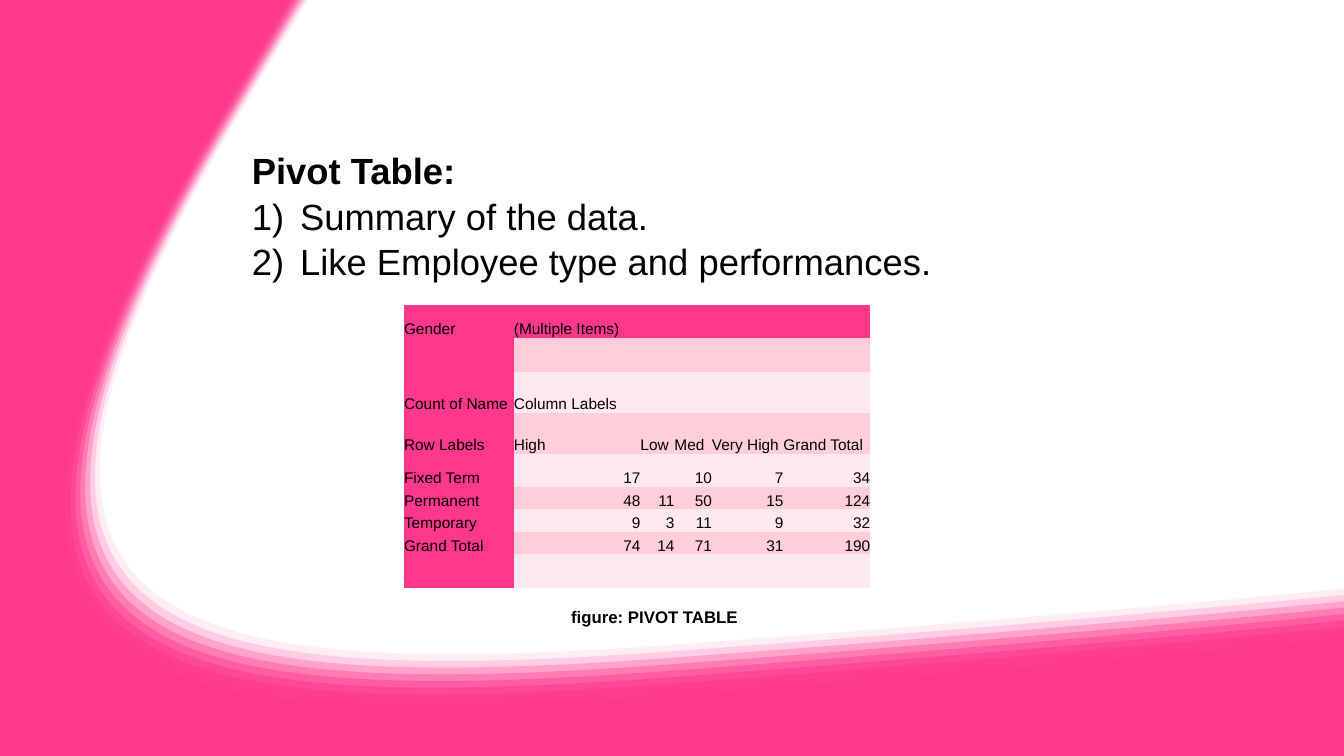
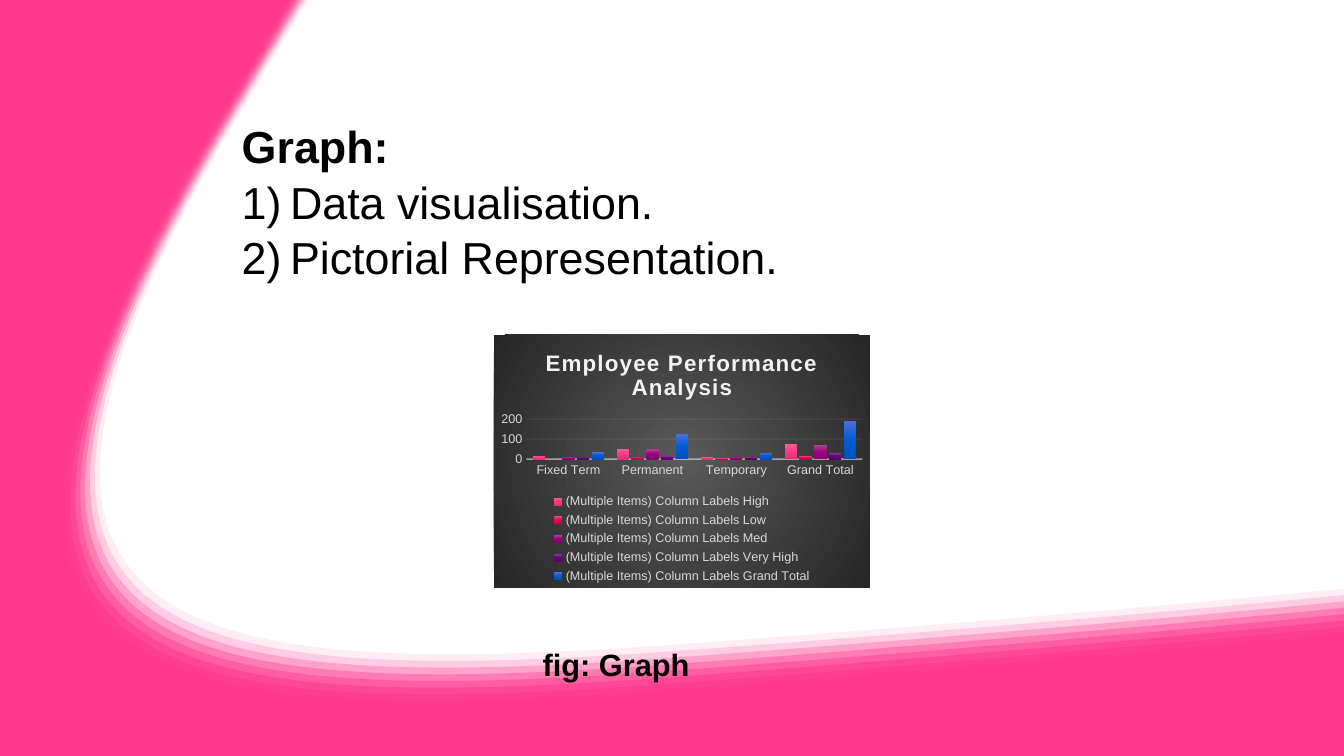
from dataclasses import dataclass
from typing import Any

from lxml.etree import SubElement
from pptx import Presentation
from pptx.chart.chart import Chart
from pptx.chart.data import CategoryChartData
from pptx.dml.color import RGBColor
from pptx.enum.chart import XL_CHART_TYPE, XL_LEGEND_POSITION, XL_TICK_MARK
from pptx.enum.text import MSO_ANCHOR, MSO_AUTO_SIZE, PP_ALIGN
from pptx.oxml import parse_xml
from pptx.oxml.ns import nsdecls, qn
from pptx.slide import Slide, SlideLayout
from pptx.util import Pt

PINK = RGBColor(0xFF, 0x38, 0x8C)
ROSE = RGBColor(0xFF, 0xCE, 0xDA)
BLUSH = RGBColor(0xFF, 0xE8, 0xEE)
BLACK = RGBColor(0x00, 0x00, 0x00)
PALE_GREY = RGBColor(0xF2, 0xF2, 0xF2)
LIGHT_GREY = RGBColor(0xD9, 0xD9, 0xD9)
CHART_CENTRE = RGBColor(0x59, 0x59, 0x59)
CHART_EDGE = RGBColor(0x26, 0x26, 0x26)

FONT = "Arial"
SLIDE_WIDTH, SLIDE_HEIGHT = 960, 540
BAND_COUNT = 11
NUMBER_INDENT = 34.5
PLAIN_TABLE_STYLE = "{2D5ABB26-0587-4C30-8999-92F81FD0307C}"

Point = tuple[float, float]

SLIDE_CORNERS: list[Point] = [
    (SLIDE_WIDTH, 0), (SLIDE_WIDTH, SLIDE_HEIGHT), (0, SLIDE_HEIGHT), (0, 0),
]
OUTER_EDGE: list[Point] = [
    (220.3, 0), (219.6, 0.7), (202.3, 28.8), (172.8, 78.5), (-52.6, 455),
    (115.9, 488.2), (496.8, 459.4), (781.2, 438.5), (958.3, 420.5), (960, 420.5),
]
INNER_EDGE: list[Point] = [
    (199.4, 0), (195.1, 7.9), (178.6, 37.4), (151.9, 82.1), (-102.2, 506.2),
    (87.8, 536.4), (478.1, 506.9), (754.6, 486), (935.3, 468.7), (960, 465.8),
]
FRAME_EDGE: list[Point] = [
    (190.8, 0), (190.8, 0), (172.8, 29.5), (141.1, 82.8), (-116.6, 512.6),
    (76.3, 543.6), (471.6, 514.1), (774, 491), (960, 472.3), (960, 472.3),
]

COLUMN_WIDTHS = [78.5, 90.4, 24.3, 26.8, 51.1, 62]
ROW_HEIGHTS = [23.9, 23.9, 29.3, 29.3, 23.9, 16.1, 16.1, 16.1, 23.9]
PIVOT_ROWS = [
    ["Gender", "(Multiple Items)"],
    [],
    ["Count of Name", "Column Labels"],
    ["Row Labels", "High", "Low", "Med", "Very High", "Grand Total"],
    ["Fixed Term", 17, None, 10, 7, 34],
    ["Permanent", 48, 11, 50, 15, 124],
    ["Temporary", 9, 3, 11, 9, 32],
    ["Grand Total", 74, 14, 71, 31, 190],
    [],
]


@dataclass(frozen=True)
class Box:
    left: float
    top: float
    width: float
    height: float

    def lengths(self) -> list[Pt]:
        return [Pt(value) for value in (self.left, self.top, self.width, self.height)]


@dataclass(frozen=True)
class Topic:
    caption: str
    caption_box: Box
    caption_size: float
    heading: str
    points: list[str]
    text_box: Box
    text_size: float


@dataclass(frozen=True)
class Series:
    name: str
    column: int
    colors: tuple[str, str, str]


PIVOT_TOPIC = Topic(
    "figure: PIVOT TABLE", Box(366.5, 415.4, 167.8, 49.7), 12,
    "Pivot Table:", ["Summary of the data.", "Like Employee type and performances."],
    Box(172.8, 102.4, 787, 102), 26,
)
GRAPH_TOPIC = Topic(
    "fig: Graph", Box(378.7, 447.1, 121, 54.7), 22,
    "Graph:", ["Data visualisation.", "Pictorial Representation."],
    Box(165.6, 81.2, 787, 122), 32,
)
SERIES = [
    Series("High", 1, ("FF5C99", "FF388C", "E52F7C")),
    Series("Low", 2, ("EA4B6F", "E40059", "CB004F")),
    Series("Med", 3, ("A74B8D", "9C007F", "8B0071")),
    Series("Very High", 4, ("7A4B8D", "68007F", "5C0071")),
    Series("Grand Total", 5, ("4B70DA", "005BD3", "0051BC")),
]


def apply(target: Any, **values: Any) -> None:
    for name, value in values.items():
        setattr(target, name, value)


def format_font(font: Any, size: float, color: RGBColor, bold: bool = False) -> None:
    apply(font, name=FONT, size=Pt(size), bold=bold)
    font.color.rgb = color


def set_opacity(color_element: Any, percent: float) -> None:
    SubElement(color_element, qn("a:alpha")).set("val", str(round(percent * 1000)))


def blend_edges(share: float) -> list[Point]:
    return [
        (outer[0] + (inner[0] - outer[0]) * share, outer[1] + (inner[1] - outer[1]) * share)
        for outer, inner in zip(OUTER_EDGE, INNER_EDGE)
    ]


def add_segment(outline: Any, tag: str, points: list[Point]) -> None:
    segment = SubElement(outline, qn(tag))
    for x, y in points:
        point = SubElement(segment, qn("a:pt"))
        point.set("x", str(Pt(x)))
        point.set("y", str(Pt(y)))


def add_curves(outline: Any, edge: list[Point], start_tag: str) -> None:
    add_segment(outline, start_tag, edge[:1])
    for first in range(1, len(edge), 3):
        add_segment(outline, "a:cubicBezTo", edge[first:first + 3])


def add_band(slide: Slide, edge: list[Point], opacity: float) -> Any:
    builder = slide.shapes.build_freeform(0, 0)
    builder.add_line_segments([(Pt(x), Pt(y)) for x, y in SLIDE_CORNERS])
    shape = builder.convert_to_shape()
    shape.shadow.inherit = False
    shape.fill.solid()
    shape.fill.fore_color.rgb = PINK
    shape.line.fill.background()
    if opacity < 100:
        set_opacity(shape.element.spPr.find(".//" + qn("a:srgbClr")), opacity)
    outline = shape.element.find(".//" + qn("a:path"))
    for segment in list(outline):
        outline.remove(segment)
    add_curves(outline, edge, "a:moveTo")
    if edge is FRAME_EDGE:
        for corner in SLIDE_CORNERS[1:]:
            add_segment(outline, "a:lnTo", [corner])
    else:
        add_curves(outline, FRAME_EDGE[::-1], "a:lnTo")
    SubElement(outline, qn("a:close"))
    return shape


def add_backdrop(slide: Slide, layout: SlideLayout) -> None:
    bands = [(FRAME_EDGE, 100.0)]
    for band in range(BAND_COUNT):
        bands.append((blend_edges(band / (BAND_COUNT - 1)), 100 * (band + 1) / BAND_COUNT))
    for index, (edge, opacity) in enumerate(bands):
        shape = add_band(slide, edge, opacity)
        shape.name = f"Pink band {index}"
        shape.element.nvSpPr.cNvPr.set("id", str(100 + index))
        layout.shapes.element.append(shape.element)


def add_topic_text(slide: Slide, topic: Topic) -> None:
    title = slide.shapes.title
    left, top, width, height = topic.caption_box.lengths()
    apply(title, left=left, top=top, width=width, height=height)
    title.text_frame.text = topic.caption
    apply(title.text_frame, word_wrap=True, auto_size=MSO_AUTO_SIZE.NONE,
          vertical_anchor=MSO_ANCHOR.MIDDLE)
    caption = title.text_frame.paragraphs[0]
    caption.alignment = PP_ALIGN.RIGHT
    format_font(caption.runs[0].font, topic.caption_size, BLACK, True)

    text_frame = slide.shapes.add_textbox(*topic.text_box.lengths()).text_frame
    text_frame.text = "\n".join([topic.heading, *topic.points])
    text_frame.word_wrap = True
    for index, paragraph in enumerate(text_frame.paragraphs):
        paragraph.space_after = Pt(1.3)
        format_font(paragraph.runs[0].font, topic.text_size, BLACK, index == 0)
        if index > 0:
            properties = paragraph._p.get_or_add_pPr()
            properties.set("marL", str(Pt(NUMBER_INDENT)))
            properties.set("indent", str(-Pt(NUMBER_INDENT)))
            SubElement(properties, qn("a:buAutoNum")).set("type", "arabicParenR")


def cell_color(row: int, column: int) -> RGBColor:
    if row == 0 or column == 0:
        return PINK
    return ROSE if row % 2 else BLUSH


def add_pivot_table(slide: Slide) -> None:
    box = Box(288.6, 217.6, sum(COLUMN_WIDTHS), sum(ROW_HEIGHTS))
    frame = slide.shapes.add_table(len(ROW_HEIGHTS), len(COLUMN_WIDTHS), *box.lengths())
    table = frame.table
    apply(table, first_row=False, horz_banding=False)
    frame.element.find(".//" + qn("a:tableStyleId")).text = PLAIN_TABLE_STYLE
    for column, width in zip(table.columns, COLUMN_WIDTHS):
        column.width = Pt(width)
    for row, height in zip(table.rows, ROW_HEIGHTS):
        row.height = Pt(height)
    for row_index, values in enumerate(PIVOT_ROWS):
        for column_index in range(len(COLUMN_WIDTHS)):
            cell = table.cell(row_index, column_index)
            apply(cell, margin_left=0, margin_right=0, margin_top=0, margin_bottom=0,
                  vertical_anchor=MSO_ANCHOR.BOTTOM)
            cell.fill.solid()
            cell.fill.fore_color.rgb = cell_color(row_index, column_index)
            value = values[column_index] if column_index < len(values) else None
            if value is None:
                continue
            cell.text = str(value)
            paragraph = cell.text_frame.paragraphs[0]
            paragraph.alignment = PP_ALIGN.RIGHT if isinstance(value, int) else PP_ALIGN.LEFT
            format_font(paragraph.runs[0].font, 11, BLACK)


def gradient_xml(colors: tuple[Any, ...], direction: str) -> str:
    last = len(colors) - 1
    stops = "".join(
        f'<a:gs pos="{100000 * index // last}"><a:srgbClr val="{color}"/></a:gs>'
        for index, color in enumerate(colors)
    )
    return f'<a:gradFill {nsdecls("a")}><a:gsLst>{stops}</a:gsLst>{direction}</a:gradFill>'


def fill_chart(chart: Chart) -> None:
    for element, series in zip(chart.element.iter(qn("c:ser")), SERIES):
        downward = '<a:lin ang="5400000" scaled="0"/>'
        element.get_or_add_spPr().insert(0, parse_xml(gradient_xml(series.colors, downward)))
    radial = ('<a:path path="circle"><a:fillToRect l="50000" t="50000" r="50000" b="50000"/>'
              '</a:path>')
    background = gradient_xml((CHART_CENTRE, CHART_EDGE), radial)
    chart.element.find(qn("c:chart")).addnext(parse_xml(
        f'<c:spPr {nsdecls("c", "a")}>{background}<a:ln><a:noFill/></a:ln></c:spPr>'
    ))


def add_performance_chart(slide: Slide) -> None:
    rows = PIVOT_ROWS[4:8]
    data = CategoryChartData()
    data.categories = [row[0] for row in rows]
    for series in SERIES:
        data.add_series(f"(Multiple Items) Column Labels {series.name}",
                        [row[series.column] for row in rows])
    box = Box(352.8, 239, 268.6, 180.7)
    chart = slide.shapes.add_chart(XL_CHART_TYPE.COLUMN_CLUSTERED, *box.lengths(), data).chart
    format_font(chart.font, 10, BLACK)
    apply(chart, has_title=True, has_legend=True)
    chart.chart_title.text_frame.text = "Employee Performance Analysis"
    title_run = chart.chart_title.text_frame.paragraphs[0].runs[0]
    format_font(title_run.font, 16, PALE_GREY, True)
    chart.element.find(".//" + qn("c:title")).find(".//" + qn("a:rPr")).set("spc", "100")
    apply(chart.legend, position=XL_LEGEND_POSITION.BOTTOM, include_in_layout=False)
    format_font(chart.legend.font, 9, LIGHT_GREY)
    apply(chart.plots[0], gap_width=100, overlap=-22, vary_by_categories=False)

    for axis in (chart.category_axis, chart.value_axis):
        apply(axis, major_tick_mark=XL_TICK_MARK.NONE, minor_tick_mark=XL_TICK_MARK.NONE)
        format_font(axis.tick_labels.font, 9, LIGHT_GREY)
    apply(chart.value_axis, minimum_scale=0, maximum_scale=200, major_unit=100,
          has_major_gridlines=True)
    chart.value_axis.format.line.fill.background()
    lines = [
        (chart.category_axis.format.line, 1, 54, ("c:catAx", "c:spPr")),
        (chart.value_axis.major_gridlines.format.line, 0.75, 10, ("c:valAx", "c:majorGridlines")),
    ]
    for line, width, opacity, (axis_tag, part_tag) in lines:
        line.width = Pt(width)
        line.color.rgb = PALE_GREY
        part = chart.element.find(".//" + qn(axis_tag)).find(qn(part_tag))
        set_opacity(part.find(".//" + qn("a:srgbClr")), opacity)
    fill_chart(chart)


def main() -> None:
    presentation = Presentation()
    apply(presentation, slide_width=Pt(SLIDE_WIDTH), slide_height=Pt(SLIDE_HEIGHT))
    layout = presentation.slide_layouts[5]
    pivot_slide, graph_slide = (presentation.slides.add_slide(layout) for _ in range(2))
    add_backdrop(pivot_slide, layout)
    add_topic_text(pivot_slide, PIVOT_TOPIC)
    add_pivot_table(pivot_slide)
    add_topic_text(graph_slide, GRAPH_TOPIC)
    add_performance_chart(graph_slide)
    presentation.save("out.pptx")


if __name__ == "__main__":
    main()
